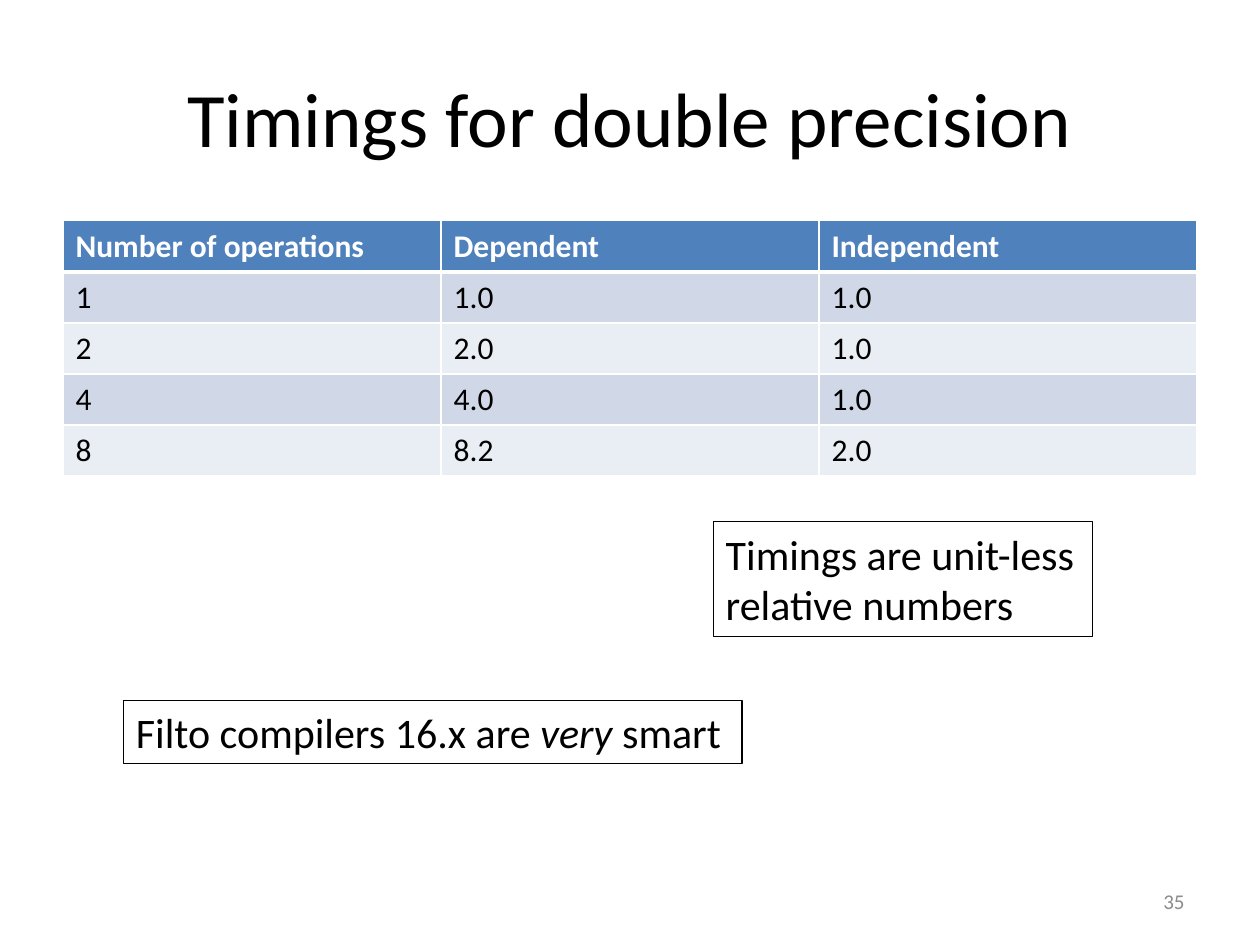
"""Build a slide with a table of double precision timings and two remarks."""
from lxml import etree
from pptx import Presentation
from pptx.dml.color import RGBColor
from pptx.enum.shapes import MSO_SHAPE
from pptx.enum.text import MSO_ANCHOR, MSO_AUTO_SIZE, PP_ALIGN
from pptx.oxml.ns import qn
from pptx.util import Cm, Pt

RECTANGLE = MSO_SHAPE.RECTANGLE
TOP, MIDDLE = MSO_ANCHOR.TOP, MSO_ANCHOR.MIDDLE
FIT_SHAPE = MSO_AUTO_SIZE.SHAPE_TO_FIT_TEXT
LEFT, CENTER, RIGHT = PP_ALIGN.LEFT, PP_ALIGN.CENTER, PP_ALIGN.RIGHT

COLORS = {
    "text": "000000",
    "white": "FFFFFF",
    "header": "4F81BD",
    "odd": "D0D8E8",
    "even": "E9EDF4",
    "number": "8C8C8C",
}


def write(frame, text, size=24, color="text", bold=False, italic=False, align=LEFT):
    paragraph = frame.paragraphs[0]
    paragraph.alignment = align
    for index, line in enumerate(text.split("\n")):
        if index:
            paragraph.add_line_break()
        run = paragraph.add_run()
        run.text = line
        run.font.name = "Calibri"
        run.font.size = Pt(size)
        run.font.bold = bold
        run.font.italic = italic
        run.font.color.rgb = RGBColor.from_string(COLORS[color])


def add_border(cell, side, points):
    line = etree.SubElement(cell._tc.get_or_add_tcPr(), qn(f"a:ln{side}"), w=str(Pt(points)))
    fill = etree.SubElement(line, qn("a:solidFill"))
    etree.SubElement(fill, qn("a:srgbClr"), val=COLORS["white"])


presentation = Presentation()
presentation.slide_width = Cm(25.4)
presentation.slide_height = Cm(19.05)
slide = presentation.slides.add_slide(presentation.slide_layouts[6])

headings = [
    ("Timings for double precision", (1.27, 0.76, 22.86, 3.18),
     dict(size=44, align=CENTER)),
    ("35", (18.2, 17.66, 5.93, 1.01),
     dict(size=12, color="number", align=RIGHT)),
]
for text, place, style in headings:
    frame = slide.shapes.add_textbox(*map(Cm, place)).text_frame
    frame.word_wrap = True
    frame.vertical_anchor = MIDDLE
    write(frame, text, **style)

timings = [
    ("Number of operations", "Dependent", "Independent"),
    ("1", "1.0", "1.0"),
    ("2", "2.0", "1.0"),
    ("4", "4.0", "1.0"),
    ("8", "8.2", "2.0"),
]
table = slide.shapes.add_table(
    len(timings), len(timings[0]), Cm(1.27), Cm(4.45), Cm(22.86), Cm(5.15)
).table
for row, values in enumerate(timings):
    is_header = row == 0
    band = "header" if is_header else "odd" if row % 2 else "even"
    for column, value in enumerate(values):
        cell = table.cell(row, column)
        write(cell.text_frame, value, size=18, bold=is_header,
              color="white" if is_header else "text")
        for side in "LRTB":
            under_header = (row, side) in ((0, "B"), (1, "T"))
            add_border(cell, side, 3 if under_header else 1)
        cell.fill.solid()
        cell.fill.fore_color.rgb = RGBColor.from_string(COLORS[band])

remarks = [
    ((14.38, 10.52, 7.64, 2.31), True,
     [("Timings are unit-less\nrelative numbers", False)]),
    ((2.49, 14.12, 12.47, 1.28), False,
     [("Filto compilers 16.x are ", False), ("very", True), (" smart", False)]),
]
for place, is_filled, phrases in remarks:
    remark = slide.shapes.add_shape(RECTANGLE, *map(Cm, place))
    remark.shadow.inherit = False
    if is_filled:
        remark.fill.solid()
        remark.fill.fore_color.rgb = RGBColor.from_string(COLORS["white"])
    else:
        remark.fill.background()
    remark.line.color.rgb = RGBColor.from_string(COLORS["text"])
    remark.line.width = Pt(0.75)
    frame = remark.text_frame
    frame.word_wrap = False
    frame.auto_size = FIT_SHAPE
    frame.vertical_anchor = TOP
    for phrase, is_italic in phrases:
        write(frame, phrase, italic=is_italic)

presentation.save("out.pptx")
